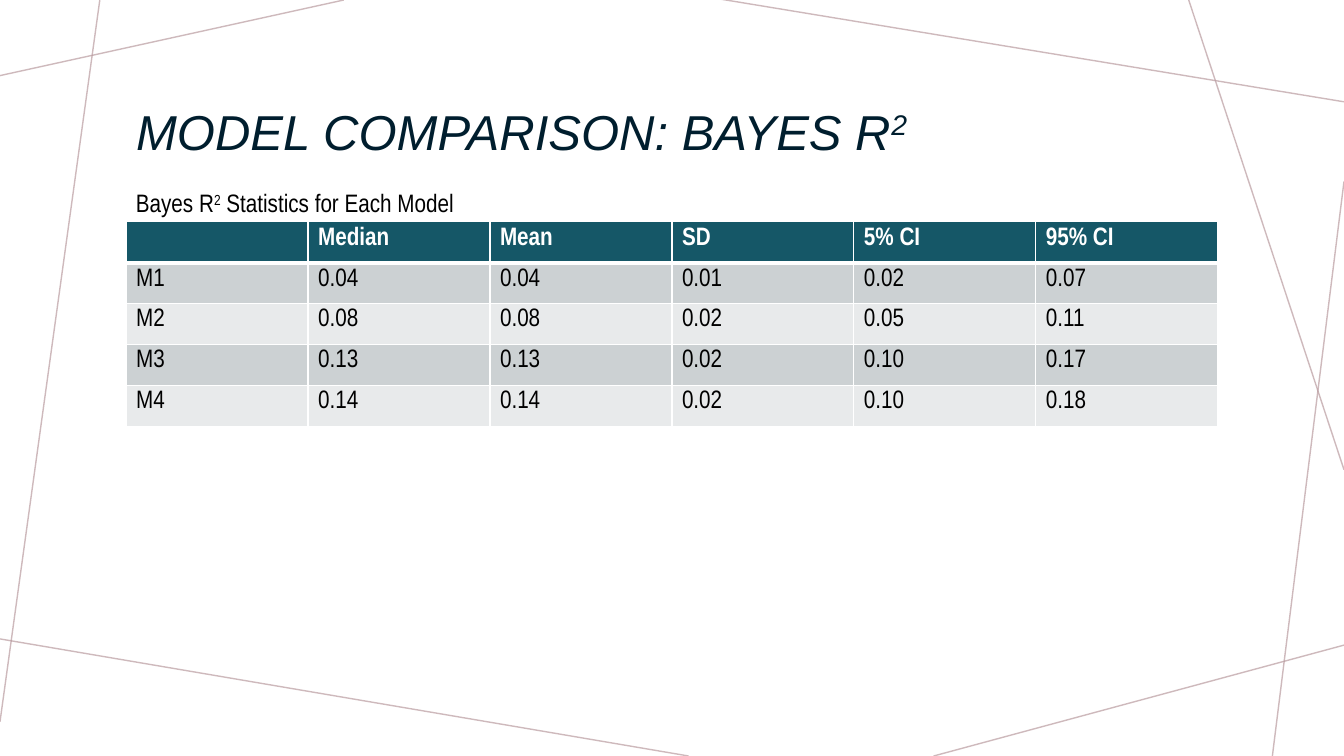
from lxml import etree
from pptx import Presentation
from pptx.dml.color import RGBColor
from pptx.enum.shapes import MSO_CONNECTOR
from pptx.enum.text import MSO_ANCHOR, MSO_AUTO_SIZE, PP_ALIGN
from pptx.oxml.ns import qn
from pptx.util import Inches, Pt

STRAIGHT = MSO_CONNECTOR.STRAIGHT
MIDDLE, TOP = MSO_ANCHOR.MIDDLE, MSO_ANCHOR.TOP
LEFT = PP_ALIGN.LEFT
NO_FIT = MSO_AUTO_SIZE.NONE
TITLE_ONLY = 5

SLIDE_SIZE = (13.33, 7.5)
TITLE_BOX = (1.25, 0.58, 10.83, 1.51)
CAPTION_BOX = (1.25, 1.81, 10.83, 0.4)
TABLE_BOX = (1.25, 2.2, 10.83, 2.03)

WHITE = "FFFFFF"
HEADER_FILL = "155767"
BAND_FILLS = ("E8EAEB", "CCD1D3")
LINE_COLOUR = "BA9CA0"

TITLE_FORMAT = {"name": "Arial", "size": Pt(35), "italic": True, "bold": False}
BODY_FORMAT = {"name": "Arial Narrow", "size": Pt(18), "bold": False}
HEADER_FORMAT = BODY_FORMAT | {"bold": True}

BACKDROP_LINES = [
    (3.41, 0, 0, 0.75),
    (0.99, 0, 0, 7.16),
    (6.83, 7.5, -0.05, 6.33),
    (13.33, 6.4, 9.26, 7.5),
    (13.33, 1.8, 12.62, 7.5),
    (13.33, 4.66, 11.79, 0),
    (13.33, 1.01, 7.14, -0.01),
]

MODEL_ROWS = [
    ("", "Median", "Mean", "SD", "5% CI", "95% CI"),
    ("M1", "0.04", "0.04", "0.01", "0.02", "0.07"),
    ("M2", "0.08", "0.08", "0.02", "0.05", "0.11"),
    ("M3", "0.13", "0.13", "0.02", "0.10", "0.17"),
    ("M4", "0.14", "0.14", "0.02", "0.10", "0.18"),
]


def colour(value):
    return RGBColor.from_string(value)


def add_span(para, text, formats, ink, raised=False):
    span = para.add_run()
    span.text = text
    for name, value in formats.items():
        setattr(span.font, name, value)
    span.font.color.rgb = colour(ink)
    if raised:
        span.font._element.set("baseline", "30000")


def add_backdrop(page):
    for ends in BACKDROP_LINES:
        connector = page.shapes.add_connector(STRAIGHT, *map(Inches, ends))
        connector.line.width = Pt(1)
        connector.line.color.rgb = colour(LINE_COLOUR)
        properties = connector._element.spPr
        tint = properties.find(".//" + qn("a:srgbClr"))
        etree.SubElement(tint, qn("a:alpha"), val="70000")
        etree.SubElement(properties, qn("a:effectLst"))


def add_title(page, box):
    title = page.shapes.title
    title.left, title.top, title.width, title.height = map(Inches, box)
    frame = title.text_frame
    frame.word_wrap = True
    frame.auto_size = NO_FIT
    frame.vertical_anchor = MIDDLE
    para = frame.paragraphs[0]
    para.alignment = LEFT
    para.line_spacing = 0.9
    add_span(para, "MODEL COMPARISON: BAYES R", TITLE_FORMAT, "001E2E")
    add_span(para, "2", TITLE_FORMAT, "001E2E", raised=True)


def add_caption(page, box):
    caption = page.shapes.add_textbox(*map(Inches, box))
    caption.text_frame.word_wrap = True
    para = caption.text_frame.paragraphs[0]
    add_span(para, "Bayes R", BODY_FORMAT, "000000")
    add_span(para, "2", BODY_FORMAT, "000000", raised=True)
    add_span(para, " Statistics for Each Model", BODY_FORMAT, "000000")


def add_borders(cell, widths):
    properties = cell._tc.get_or_add_tcPr()
    for side, width in widths.items():
        border = etree.SubElement(properties, qn("a:ln" + side), w=str(Pt(width)))
        fill = etree.SubElement(border, qn("a:solidFill"))
        etree.SubElement(fill, qn("a:srgbClr"), val=WHITE)


def add_model_table(page, box):
    left, top, width, height = map(Inches, box)
    row_count, column_count = len(MODEL_ROWS), len(MODEL_ROWS[0])
    table = page.shapes.add_table(
        row_count, column_count, left, top, width, height
    ).table
    for row_index, values in enumerate(MODEL_ROWS):
        header = row_index == 0
        formats = HEADER_FORMAT if header else BODY_FORMAT
        ink = WHITE if header else "000000"
        fill = HEADER_FILL if header else BAND_FILLS[row_index % 2]
        widths = {"L": 1, "R": 1, "T": 1, "B": 3 if header else 1}
        for column_index, value in enumerate(values):
            cell = table.cell(row_index, column_index)
            cell.margin_top = cell.margin_bottom = Inches(0.05)
            cell.vertical_anchor = TOP
            add_borders(cell, widths)
            cell.fill.solid()
            cell.fill.fore_color.rgb = colour(fill)
            if value:
                add_span(cell.text_frame.paragraphs[0], value, formats, ink)


def main():
    deck = Presentation()
    deck.slide_width, deck.slide_height = map(Inches, SLIDE_SIZE)
    page = deck.slides.add_slide(deck.slide_layouts[TITLE_ONLY])
    page.background.fill.solid()
    page.background.fill.fore_color.rgb = colour(WHITE)
    add_backdrop(page)
    add_title(page, TITLE_BOX)
    add_model_table(page, TABLE_BOX)
    add_caption(page, CAPTION_BOX)
    deck.save("out.pptx")


if __name__ == "__main__":
    main()
